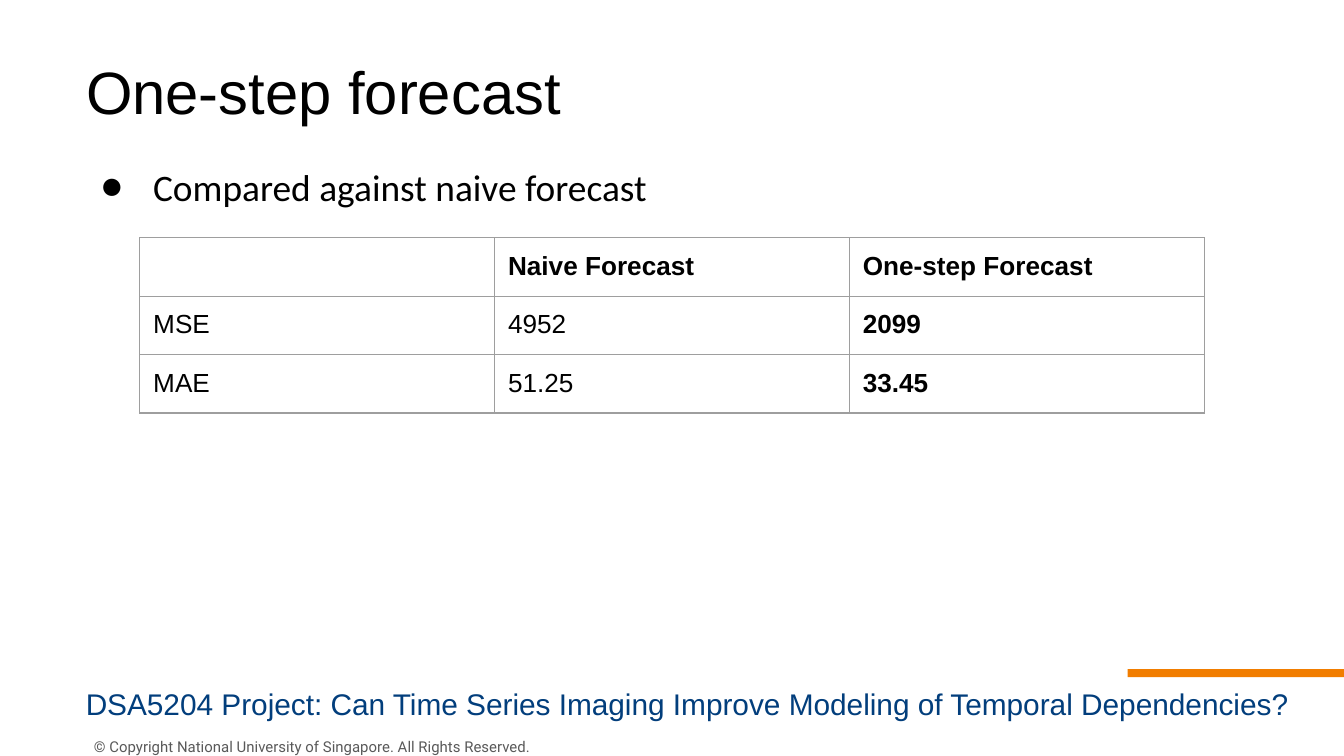
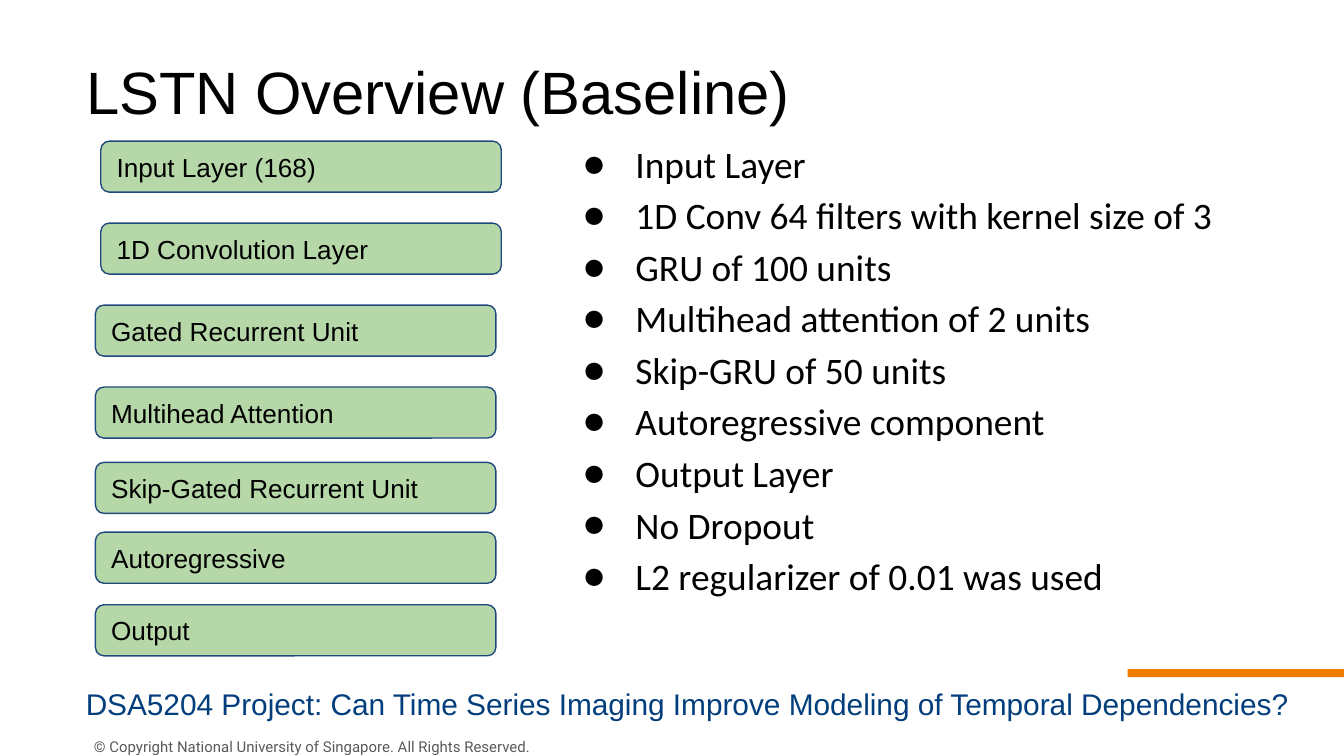
from lxml import etree
from pptx import Presentation
from pptx.dml.color import RGBColor
from pptx.enum import shapes, text
from pptx.oxml import ns
from pptx.util import Inches, Pt

# Shared colours
BLACK = RGBColor(0x00, 0x00, 0x00)
NAVY = RGBColor(0x02, 0x3E, 0x7C)
GREY = RGBColor(0x59, 0x59, 0x59)
ORANGE = RGBColor(0xF1, 0x7D, 0x00)
GREEN = RGBColor(0xB6, 0xD7, 0xA8)
BORDER_BLUE = RGBColor(0x1F, 0x49, 0x7D)
GRID = RGBColor(0x9E, 0x9E, 0x9E)

# Shared text styles: font attributes and colour
TITLE = dict(name="Arial", size=Pt(32), bold=False), BLACK
BODY = dict(name="Calibri", size=Pt(20)), BLACK
LABEL = dict(name="Arial", size=Pt(14), bold=False), BLACK
LABEL_BOLD = dict(name="Arial", size=Pt(14), bold=True), BLACK
PROJECT = dict(name="Arial", size=Pt(16)), NAVY
COPYRIGHT = dict(name="Roboto", size=Pt(8)), GREY

PROJECT_TEXT = ("DSA5204 Project: Can Time Series Imaging Improve Modeling "
                "of Temporal Dependencies?")
COPYRIGHT_TEXT = "© Copyright National University of Singapore. All Rights Reserved."


def box(*lengths):
    return [Inches(v) for v in lengths]


def set_attrs(obj, values):
    for name, value in values.items():
        setattr(obj, name, value)


def sub(parent, tag, **attrs):
    return etree.SubElement(parent, ns.qn(tag), attrs)


def write(p, content, style):
    fmt, colour = style
    p.alignment = text.PP_ALIGN.LEFT
    r = p.add_run()
    r.text = content
    set_attrs(r.font, fmt)
    r.font.color.rgb = colour


def set_frame(tf, margin_y=0.05, anchor=text.MSO_ANCHOR.TOP):
    set_attrs(tf, dict(
        word_wrap=True, auto_size=text.MSO_AUTO_SIZE.NONE, vertical_anchor=anchor,
        margin_left=Inches(0.1), margin_right=Inches(0.1),
        margin_top=Inches(margin_y), margin_bottom=Inches(margin_y)))


def add_text(s, at, content, style):
    tf = s.shapes.add_textbox(*box(*at)).text_frame
    set_frame(tf)
    write(tf.paragraphs[0], content, style)


def add_bullets(s, at, items):
    tf = s.shapes.add_textbox(*box(*at)).text_frame
    set_frame(tf)
    for i, item in enumerate(items):
        p = tf.add_paragraph() if i else tf.paragraphs[0]
        pPr = p._p.get_or_add_pPr()
        pPr.set("marL", str(Inches(0.5)))
        pPr.set("indent", str(Inches(-0.39)))
        sub(sub(pPr, "a:buClr"), "a:srgbClr", val=str(BLACK))
        sub(pPr, "a:buFont", typeface="Calibri")
        sub(pPr, "a:buChar", char="●")
        p.line_spacing = 1.15
        write(p, item, BODY)


def add_block(s, at, kind, fill, line=None):
    sp = s.shapes.add_shape(kind, *box(*at))
    sp.shadow.inherit = False
    sp.fill.solid()
    sp.fill.fore_color.rgb = fill
    if line is None:
        sp.line.fill.background()
    else:
        sp.line.color.rgb = line
        sp.line.width = Pt(0.75)
    return sp


def add_layer(s, left, top, name):
    sp = add_block(s, (left, top, 2.98, 0.38),
                   shapes.MSO_SHAPE.ROUNDED_RECTANGLE, GREEN, BORDER_BLUE)
    sp.adjustments[0] = 0.167
    set_frame(sp.text_frame, 0.1, text.MSO_ANCHOR.MIDDLE)
    write(sp.text_frame.paragraphs[0], name, LABEL)


def set_borders(cell):
    tcPr = cell._tc.get_or_add_tcPr()
    for side in "LRTB":
        ln = sub(tcPr, f"a:ln{side}", w=str(Pt(0.75)))
        sub(sub(ln, "a:solidFill"), "a:srgbClr", val=str(GRID))


def add_score_table(s, at, rows):
    table = s.shapes.add_table(len(rows), len(rows[0]), *box(*at)).table
    set_attrs(table, dict(first_row=False, horz_banding=False))
    for i, row in enumerate(rows):
        for j, value in enumerate(row):
            cell = table.cell(i, j)
            set_borders(cell)
            cell.fill.background()
            set_attrs(cell, dict.fromkeys(
                ("margin_left", "margin_right", "margin_top", "margin_bottom"),
                Inches(0.1)))
            p = cell.text_frame.paragraphs[0]
            if value:
                write(p, value, LABEL_BOLD if i == 0 or j == 2 else LABEL)
            else:
                sub(p._p, "a:endParaRPr", sz="1400")  # keeps the empty row low


def add_slide(prs, title):
    """Title, orange bar and the two footer lines."""
    s = prs.slides.add_slide(prs.slide_layouts[5])
    sp = s.shapes.title
    set_attrs(sp, dict(zip(("left", "top", "width", "height"),
                           box(0.54, 0.36, 7.82, 0.59))))
    set_frame(sp.text_frame)
    write(sp.text_frame.paragraphs[0], title, TITLE)
    add_block(s, (8.39, 4.98, 1.61, 0.06), shapes.MSO_SHAPE.RECTANGLE, ORANGE)
    add_text(s, (0.54, 5.05, 9.36, 0.32), PROJECT_TEXT, PROJECT)
    add_text(s, (0.6, 5.44, 3.51, 0.24), COPYRIGHT_TEXT, COPYRIGHT)
    return s


def forecast_slide(prs):
    s = add_slide(prs, "One-step forecast")
    add_bullets(s, (0.54, 1.12, 9.21, 0.44), ["Compared against naive forecast"])
    add_score_table(s, (1.04, 1.77, 7.92, 1.3), [
        ("", "Naive Forecast", "One-step Forecast"),
        ("MSE", "4952", "2099"),
        ("MAE", "51.25", "33.45"),
    ])


def overview_slide(prs):
    s = add_slide(prs, "LSTN Overview (Baseline)")
    add_bullets(s, (4.13, 0.95, 5.87, 3.54), [
        "Input Layer",
        "1D Conv 64 filters with kernel size of 3",
        "GRU of 100 units",
        "Multihead attention of 2 units",
        "Skip-GRU of 50 units",
        "Autoregressive component",
        "Output Layer",
        "No Dropout",
        "L2 regularizer of 0.01 was used",
    ])
    layers = [
        (0.75, 1.05, "Input Layer (168)"),
        (0.75, 1.66, "1D Convolution Layer"),
        (0.71, 2.27, "Gated Recurrent Unit"),
        (0.71, 2.88, "Multihead Attention"),
        (0.71, 3.44, "Skip-Gated Recurrent Unit"),
        (0.71, 3.96, "Autoregressive"),
        (0.71, 4.5, "Output"),
    ]
    for left, top, name in layers:
        add_layer(s, left, top, name)


def main():
    prs = Presentation()
    prs.slide_width = Inches(10)
    prs.slide_height = prs.slide_width * 9 // 16
    forecast_slide(prs)
    overview_slide(prs)
    prs.save("out.pptx")


if __name__ == "__main__":
    main()
